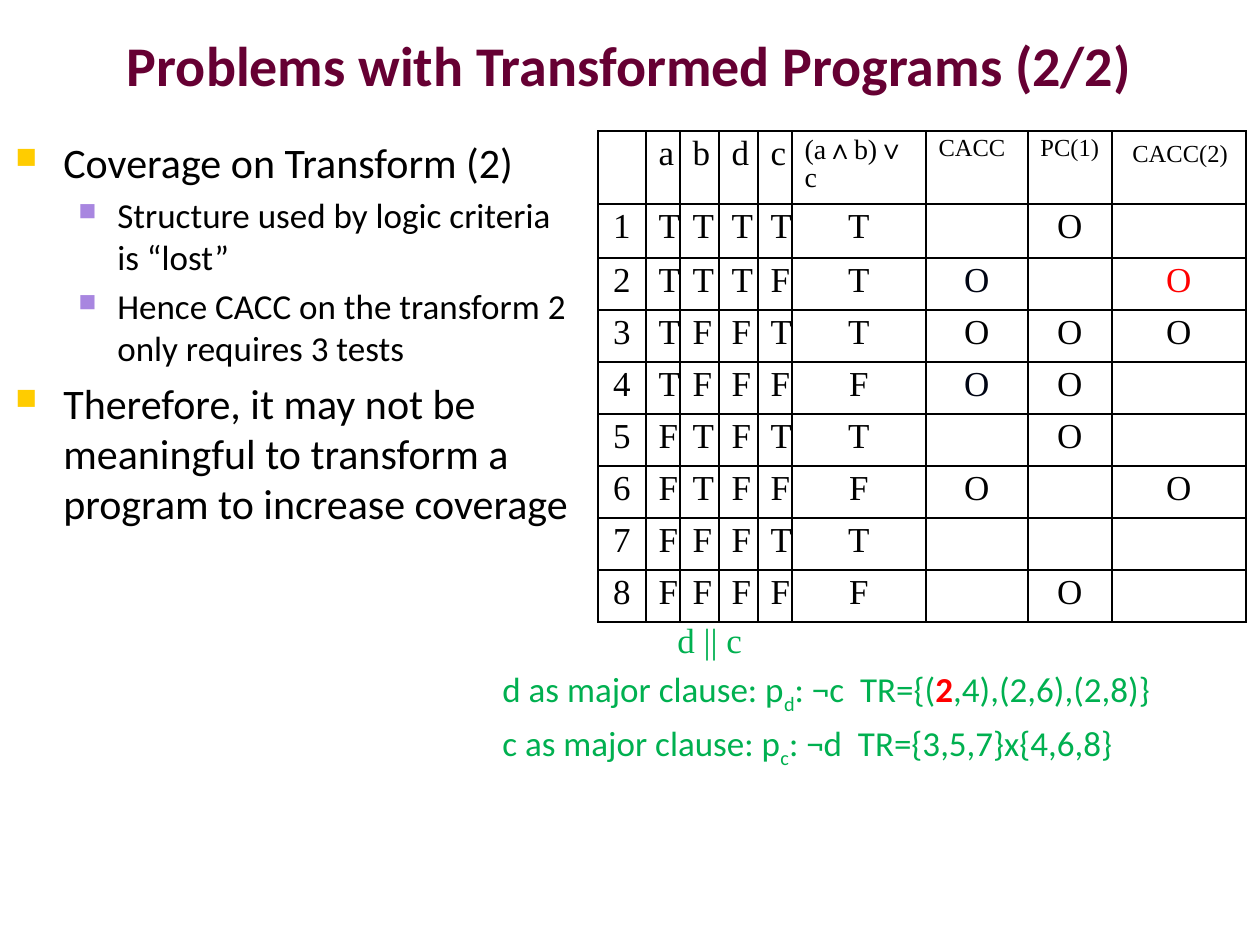
from lxml import etree
from pptx import Presentation
from pptx import util as u
from pptx.dml.color import RGBColor
from pptx.enum import text
from pptx.oxml import ns

PX = 914400 // 126


class Theme:
    """Colours, fonts and type sizes."""
    title, ink, navy = "660033", "000000", "000514"
    red, green = "FF0000", "00B050"
    sans, serif = "Calibri", "Times New Roman"
    title_size, head_size, body_size, label_size, small_size = 32, 24, 20, 16, 14
    gap_size = 18
    bullets = ("FFCC00", "A886E0")
    sizes = (head_size, body_size)


TITLE = "Problems with Transformed Programs (2/2)"
TITLE_AT = (14, 10, 1231, 108)

POINTS = [
    (0, "Coverage on Transform (2)"),
    (1, "Structure used by logic criteria is “lost”"),
    (1, "Hence CACC on the transform 2 only requires 3 tests"),
    (0, "Therefore, it may not be meaningful to transform a program "
        "to increase coverage"),
]
POINTS_AT = (3, 130, 578, 759)
POINT_INDENTS = [(48, -48), (102, -39)]

HEADINGS = ["", "a", "b", "d", "c", "(a∧b)∨c", "CACC", "PC(1)", " CACC(2)"]
TRUTH_ROWS = [  # values of a, b, d, c, predicate; then the marked criteria
    ("TTTTT", " O "),
    ("TTTFT", "O O"),
    ("TFFTT", "OOO"),
    ("TFFFF", "OO "),
    ("FTFTT", " O "),
    ("FTFFF", "O O"),
    ("FFFTT", "   "),
    ("FFFFF", " O "),
]
MARK_COLOURS = {(2, 6): Theme.navy, (4, 6): Theme.navy, (2, 8): Theme.red}
TABLE_AT = (598, 131)
COLUMNS = [48, 34, 39, 39, 34, 134, 102, 84, 134]
ROWS = [47, 54] + [52] * 7

SUB = {"sub": True}
NOTES = [  # left indent, font, runs
    (238, Theme.serif, [("d || c", {})]),
    (63, Theme.sans, [("d as major clause: p", {}), ("d", SUB), (": ¬c  TR={(", {}),
                      ("2", {"colour": Theme.red, "bold": True}),
                      (",4),(2,6),(2,8)}", {})]),
    (63, Theme.sans, [("c as major clause: p", {}), ("c", SUB),
                      (": ¬d  TR={3,5,7}x{4,6,8}", {})]),
]
NOTES_AT = (427, 612, 757, 258)


def place(*lengths):
    """Turn pixel lengths into EMU."""
    return [u.Emu(n * PX) for n in lengths]


def add_xml(parent, tag, **attributes):
    """Append a DrawingML element and return it."""
    return etree.SubElement(parent, ns.qn("a:" + tag),
                            {key: str(value) for key, value in attributes.items()})


def style(span, size, font, colour=Theme.ink, bold=False, sub=False):
    """Format one run."""
    span.font.size, span.font.name, span.font.bold = u.Pt(size), font, bold
    span.font.color.rgb = RGBColor.from_string(colour)
    if sub:
        span.font._element.set("baseline", "-25000")


def space_before(para, percent):
    """Set paragraph spacing relative to the line; return its properties."""
    props = para._p.get_or_add_pPr()
    add_xml(add_xml(props, "spcBef"), "spcPct", val=percent * 1000)
    return props


def indent(props, left, first=0):
    """Set the left margin and first-line offset in pixels."""
    props.set("marL", str(left * PX))
    props.set("indent", str(first * PX))


def add_box(page, at):
    """Add a wrapping text box and return its text frame."""
    frame = page.shapes.add_textbox(*place(*at)).text_frame
    frame.word_wrap = True
    return frame


def paragraphs(frame, items):
    """Yield a paragraph of the frame with each item."""
    for index, item in enumerate(items):
        yield (frame.add_paragraph() if index else frame.paragraphs[0]), item


def add_title(page):
    """Move and format the title placeholder."""
    box = page.shapes.title
    box.left, box.top, box.width, box.height = place(*TITLE_AT)
    frame = box.text_frame
    frame.text = TITLE
    frame.vertical_anchor = text.MSO_ANCHOR.MIDDLE
    para = frame.paragraphs[0]
    para.alignment = text.PP_ALIGN.CENTER
    style(para.runs[0], Theme.title_size, Theme.sans, Theme.title, bold=True)


def add_points(page):
    """Add the two-level bullet list."""
    for para, (level, words) in paragraphs(add_box(page, POINTS_AT), POINTS):
        para.text, para.level = words, level
        style(para.runs[0], Theme.sizes[level], Theme.sans)
        props = space_before(para, 20)
        indent(props, *POINT_INDENTS[level])
        add_xml(add_xml(props, "buClr"), "srgbClr", val=Theme.bullets[level])
        add_xml(props, "buSzPct", val=70000)
        add_xml(props, "buChar", char="■")


def add_borders(cell):
    """Draw a thin line on every side of a cell, without a fill."""
    props = cell._tc.get_or_add_tcPr()
    for side in ("lnL", "lnR", "lnT", "lnB"):
        line = add_xml(props, side, w=u.Pt(1))
        add_xml(add_xml(line, "solidFill"), "srgbClr", val=Theme.ink)
    cell.fill.background()


def heading_size(column):
    """Give the type size of a heading."""
    if column < 5:
        return Theme.body_size
    return Theme.label_size if column == 5 else Theme.small_size


def add_truth_table(page):
    """Add the truth table with its coverage marks."""
    grid = [HEADINGS] + [[str(number), *values, *marks.replace(" ", "-")]
                         for number, (values, marks) in enumerate(TRUTH_ROWS, 1)]
    frame = page.shapes.add_table(
        len(ROWS), len(COLUMNS), *place(*TABLE_AT, sum(COLUMNS), sum(ROWS)))
    table = frame.table
    table.first_row = table.horz_banding = False
    for tracks, lengths, name in ((table.columns, COLUMNS, "width"),
                                  (table.rows, ROWS, "height")):
        for track, length in zip(tracks, place(*lengths)):
            setattr(track, name, length)
    for row, values in enumerate(grid):
        for column, value in enumerate(values):
            cell = table.cell(row, column)
            add_borders(cell)
            if value in ("", "-"):
                continue
            para = cell.text_frame.paragraphs[0]
            para.line_spacing = 0.9
            space_before(para, 30)
            if row:
                para.alignment = text.PP_ALIGN.CENTER
            if value.startswith(" "):
                span = para.add_run()
                span.text = " "
                style(span, Theme.gap_size, Theme.serif)
            span = para.add_run()
            span.text = value.strip()
            style(span, Theme.body_size if row else heading_size(column),
                  Theme.serif, MARK_COLOURS.get((row, column), Theme.ink))


def add_notes(page):
    """Add the clause analysis below the table."""
    for para, (left, font, runs) in paragraphs(add_box(page, NOTES_AT), NOTES):
        para.level = 1
        indent(space_before(para, 20), left)
        for words, look in runs:
            span = para.add_run()
            span.text = words
            style(span, Theme.body_size, font, **{"colour": Theme.green, **look})


deck = Presentation()
deck.slide_width, deck.slide_height = u.Inches(10), u.Inches(7.5)
page = deck.slides.add_slide(deck.slide_layouts[5])
add_title(page)
add_points(page)
add_truth_table(page)
add_notes(page)
deck.save("out.pptx")
